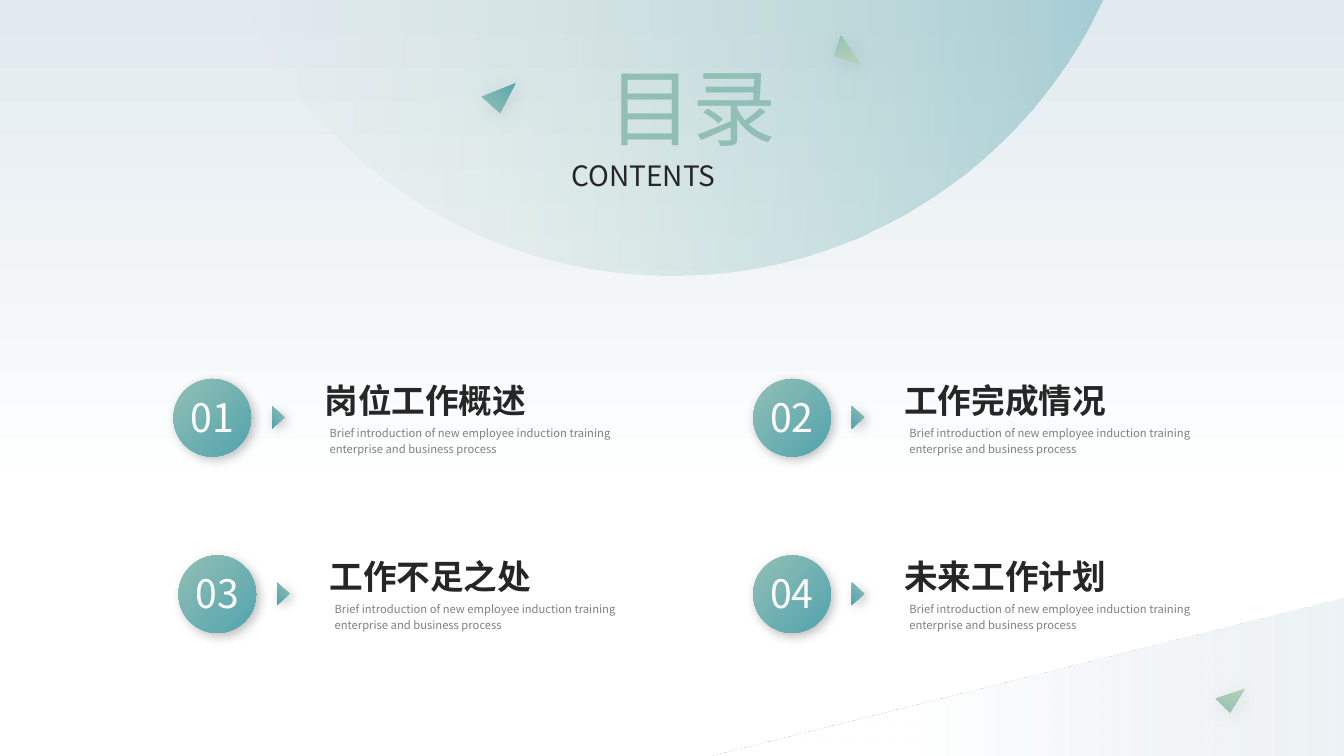
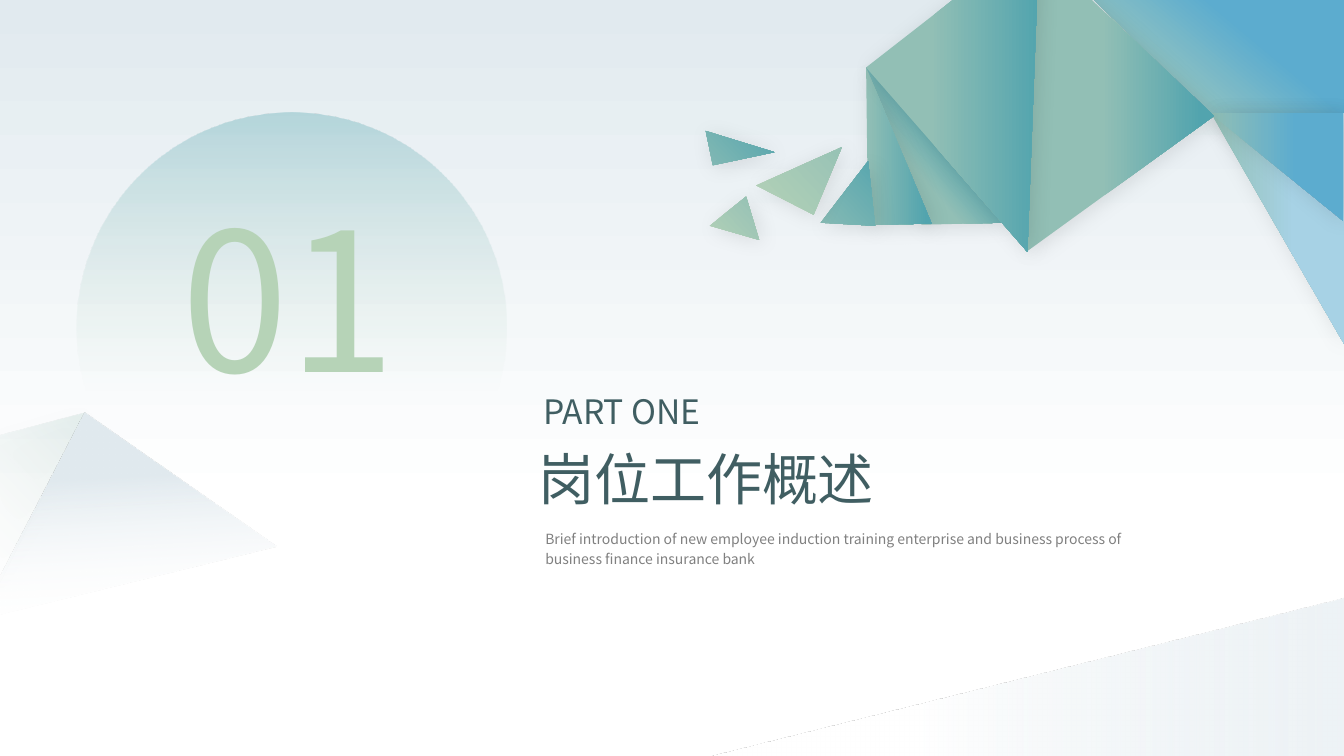
import math

from lxml import etree
from pptx import Presentation
from pptx.dml.color import RGBColor
from pptx.enum.shapes import MSO_SHAPE
from pptx.enum.text import MSO_AUTO_SIZE, PP_ALIGN
from pptx.oxml.ns import qn
from pptx.util import Inches, Pt

RECTANGLE = MSO_SHAPE.RECTANGLE
TRIANGLE = MSO_SHAPE.ISOSCELES_TRIANGLE
OVAL = MSO_SHAPE.OVAL
LEFT, CENTER = PP_ALIGN.LEFT, PP_ALIGN.CENTER
GROW = MSO_AUTO_SIZE.SHAPE_TO_FIT_TEXT

FONT = "Noto Sans CJK SC"
MIST, WHITE, INK, GREY, SLATE = "E1EAEF", "FFFFFF", "262626", "808080", "405E62"
SAGE, TEAL, LEAF, BLUE, SKY = "92BFB5", "52A4AE", "B6D3B7", "5CACCF", "A7D2E5"
WIDTH, HEIGHT = 13.33, 7.5

BADGE = ((0, SAGE), (100, TEAL))
TEAL_SHARD = ((3, SAGE), (92, TEAL))
LEAF_SHARD = ((3, LEAF), (92, SAGE))
SAGE_SHARD = ((0, SAGE), (92, LEAF))
SOFT_SHADOW = (10, 15)
BADGE_SHADOW = (25, 8)
TILT = 316.9


def color(hex_code):
    """Turn a hex string into a colour."""
    return RGBColor.from_string(hex_code)


def fill_gradient(fill, stops, angle):
    """Give a fill two stops and a clockwise angle."""
    fill.gradient()
    fill.gradient_angle = (360 - angle) % 360
    for target, stop in zip(fill.gradient_stops, stops):
        target.position = stop[0] / 100
        target.color.rgb = color(stop[1])


def finish(shape, stops, angle, shadow=None):
    """Paint a shape: gradient with optional opacity, no outline, optional shadow."""
    fill_gradient(shape.fill, stops, angle)
    properties = shape.element.spPr
    for tint, stop in zip(properties.iter(qn("a:srgbClr")), stops):
        if len(stop) == 3:
            etree.SubElement(tint, qn("a:alpha"), val=str(stop[2] * 1000))
    shape.line.fill.background()
    shape.shadow.inherit = False
    if shadow:
        opacity, blur = shadow
        outer = etree.SubElement(
            properties.find(qn("a:effectLst")), qn("a:outerShdw"),
            blurRad=str(Pt(blur)), dist=str(Pt(3)), dir="2700000",
            algn="tl", rotWithShape="0")
        black = etree.SubElement(outer, qn("a:srgbClr"), val="000000")
        etree.SubElement(black, qn("a:alpha"), val=str(opacity * 1000))


def preset(slide, kind, box, stops, angle, shadow=None):
    """Add a painted preset shape."""
    shape = slide.shapes.add_shape(kind, *map(Inches, box))
    finish(shape, stops, angle, shadow)
    return shape


def corner(slide, box, stops, angle, flipped=True):
    """Add a right-angled triangle whose apex is on the right."""
    shadow = SOFT_SHADOW if flipped else None
    shape = preset(slide, TRIANGLE, box, stops, angle, shadow)
    shape.adjustments[0] = 1
    if flipped:
        shape.element.spPr.xfrm.set("flipV", "1")


def turn(point, degrees):
    """Rotate a point clockwise about the origin."""
    x, y = point
    cosine, sine = math.cos(math.radians(degrees)), math.sin(math.radians(degrees))
    return x * cosine - y * sine, x * sine + y * cosine


def shard(slide, left, top, points, stops, angle=0, rotation=0, shadow=SOFT_SHADOW):
    """Add a polygon through points as they look after its rotation."""
    level = [turn((left + x, top + y), -rotation) for x, y in points]
    middle = [(min(axis) + max(axis)) / 2 for axis in zip(*level)]
    center = turn(middle, rotation)
    shift_x, shift_y = center[0] - middle[0], center[1] - middle[1]
    outline = [(Inches(x + shift_x), Inches(y + shift_y)) for x, y in level]
    builder = slide.shapes.build_freeform(*outline[0], scale=1.0)
    builder.add_line_segments(outline[1:], close=True)
    shape = builder.convert_to_shape()
    shape.rotation = rotation
    finish(shape, stops, angle, shadow)


def write(slide, box, text, size, ink, align=LEFT, bold=False, wrap=True,
          spacing=None, margins=None):
    """Add a text box; ink is a hex string or a (stops, angle) gradient."""
    label = slide.shapes.add_textbox(*map(Inches, box))
    frame = label.text_frame
    frame.word_wrap = wrap
    frame.auto_size = GROW
    if margins:
        frame.margin_left = frame.margin_right = Inches(margins[0])
        frame.margin_top = frame.margin_bottom = Inches(margins[1])
    frame.text = text
    paragraph = frame.paragraphs[0]
    paragraph.alignment = align
    if spacing:
        paragraph.line_spacing = spacing
    font = paragraph.runs[0].font
    font.size, font.bold, font.name = Pt(size), bold, FONT
    if isinstance(ink, str):
        font.fill.solid()
        font.fill.fore_color.rgb = color(ink)
    else:
        fill_gradient(font.fill, *ink)
    for properties in label.element.iter(qn("a:rPr")):
        etree.SubElement(properties, qn("a:ea"), typeface=FONT)


def backdrop(slide):
    """Draw the pale sky and the lower right slope of every slide."""
    preset(slide, RECTANGLE, (0, 0, WIDTH, HEIGHT), ((0, MIST), (67, WHITE)), 90)
    corner(slide, (6.98, 5.93, 6.37, 1.58), ((0, MIST, 57), (67, WHITE)), 180,
           flipped=False)


def contents_header(slide, left, top):
    """Draw the hanging dome with the contents title."""
    radius, center_x, center_y, steps = 4.72, 4.27, -2, 90
    start = math.asin(-center_y / radius)
    sweep = math.pi - 2 * start
    angles = [start + sweep * step / steps for step in range(steps + 1)]
    dome = [(center_x + radius * math.cos(a), center_y + radius * math.sin(a))
            for a in angles]
    shard(slide, left, top, dome, ((0, LEAF, 0), (100, "77B6BF", 55)), shadow=None)
    write(slide, (left + 3.4, top + 0.49, 2.15, 1.11), "目录", 60, (BADGE, 45), CENTER)
    write(slide, (left + 3.18, top + 1.51, 2.58, 0.54), "CONTENTS", 20, INK)


def contents_item(slide, left, top, number, heading):
    """Draw one numbered entry of the contents."""
    write(slide, (left + 1.4, top - 0.04, 2.22, 0.5), heading, 24, INK,
          bold=True, wrap=False)
    write(slide, (left + 1.45, top + 0.39, 3.18, 0.42),
          "Brief introduction of new employee induction training enterprise "
          "and business process", 8, GREY, spacing=1.2)
    preset(slide, OVAL, (left, top, 0.77, 0.77), BADGE, 45, BADGE_SHADOW)
    write(slide, (left + 0.08, top + 0.1, 0.61, 0.55), f"{number:02}", 28, WHITE,
          CENTER, wrap=False, margins=(0.07, 0.04))
    pointer = preset(slide, TRIANGLE, (left + 0.93, top + 0.32, 0.22, 0.12),
                     BADGE, 45, BADGE_SHADOW)
    pointer.rotation = 90


def pale_peak(slide, left, top):
    """Draw the faded folded peak at the left edge."""
    shard(slide, left, top, [(-0.19, 2.08), (-0.16, 0.27), (0.85, 0)],
          ((17, WHITE, 0), (82, SAGE, 22)), rotation=TILT)
    shard(slide, left, top, [(-0.22, 2.06), (0.84, 0), (2.74, 1.33)],
          ((29, MIST), (67, WHITE, 0)), 130, TILT, None)


def crystal(slide, left, top):
    """Draw the folded crystal and the splinters flying off it."""
    corner(slide, (left + 3.85, top, 2.49, 2.43), ((31, LEAF), (75, BLUE)), 50)
    shard(slide, left, top, [(2.96, 2.21), (2.14, 2.23), (1.59, 0.67)],
          ((35, SAGE), (62, TEAL)), 320)
    shard(slide, left, top, [(2.24, 2.22), (1.61, 2.23), (1.59, 0.67)],
          ((0, SAGE), (92, TEAL)))
    corner(slide, (left + 5.01, top + 1.12, 1.32, 2.29), ((0, SAGE), (63, SKY)), 0)
    corner(slide, (left + 5, top + 1.12, 1.32, 1.07), ((0, SAGE), (65, BLUE)), 0)
    shard(slide, left, top, [(3.19, 2.49), (3.27, -0.53), (5.04, 1.15)],
          ((40, SAGE), (93, TEAL)))
    shard(slide, left, top, [(3.19, 2.5), (1.59, 0.67), (3.31, -0.67)],
          ((37, SAGE), (100, TEAL)))
    splinters = [
        ([(1.68, 2.24), (1.14, 2.21), (1.61, 1.6)], TEAL_SHARD),
        ([(1.07, 2.13), (0.5, 1.84), (1.35, 1.46)], LEAF_SHARD),
        ([(0.07, 1.64), (0, 1.3), (0.68, 1.51)], TEAL_SHARD),
        ([(0.04, 2.24), (0.4, 1.95), (0.53, 2.38)], LEAF_SHARD),
    ]
    for points, stops in splinters:
        shard(slide, left, top, points, stops, rotation=TILT)


def section_number(slide, left, top, number):
    """Draw the fading disc with the section number."""
    preset(slide, OVAL, (left, top, 4.26, 4.26), ((0, TEAL, 34), (65, LEAF, 0)), 90)
    write(slide, (left + 0.41, top + 0.61, 3.39, 2.42), number, 138,
          (((0, LEAF), (98, TEAL)), 90), CENTER)


def section_heading(slide, left, top, part, heading, summary):
    """Write the part label, heading and summary of a section."""
    write(slide, (left + 0.07, top + 1.35, 5.99, 0.49), summary, 10, GREY, spacing=1.2)
    write(slide, (left, top + 0.53, 5.33, 0.77), heading, 40, SLATE)
    write(slide, (left + 0.05, top, 3.33, 0.5), part, 24, SLATE)


def contents_slide(slide):
    """Build the contents slide."""
    backdrop(slide)
    contents_header(slide, 2.39, 0.01)
    entries = [(1.72, 3.76, "岗位工作概述"), (7.47, 3.76, "工作完成情况"),
               (1.77, 5.51, "工作不足之处"), (7.47, 5.51, "未来工作计划")]
    for number, (left, top, heading) in enumerate(entries, 1):
        contents_item(slide, left, top, number, heading)
    shard(slide, 4.78, 0.83, [(0.18, 0.29), (0, 0.13), (0.33, 0)],
          TEAL_SHARD, rotation=TILT)
    shard(slide, 8.28, 0.35, [(0.06, 0), (0.24, 0.28), (0, 0.2)],
          SAGE_SHARD, rotation=79.5)
    shard(slide, 12.06, 6.84, [(0.14, 0.23), (0, 0.09), (0.28, 0)],
          SAGE_SHARD, rotation=285.1)


def section_slide(slide):
    """Build the opening slide of the first section."""
    backdrop(slide)
    pale_peak(slide, 0, 4.09)
    crystal(slide, 7, 0)
    section_heading(slide, 5.24, 3.83, "PART ONE", "岗位工作概述",
                    "Brief introduction of new employee induction training enterprise "
                    "and business process of business finance insurance bank")
    section_number(slide, 0.76, 1.12, "01")


deck = Presentation()
deck.slide_width, deck.slide_height = Inches(WIDTH), Inches(HEIGHT)
for build in (contents_slide, section_slide):
    build(deck.slides.add_slide(deck.slide_layouts[6]))
deck.save("out.pptx")
